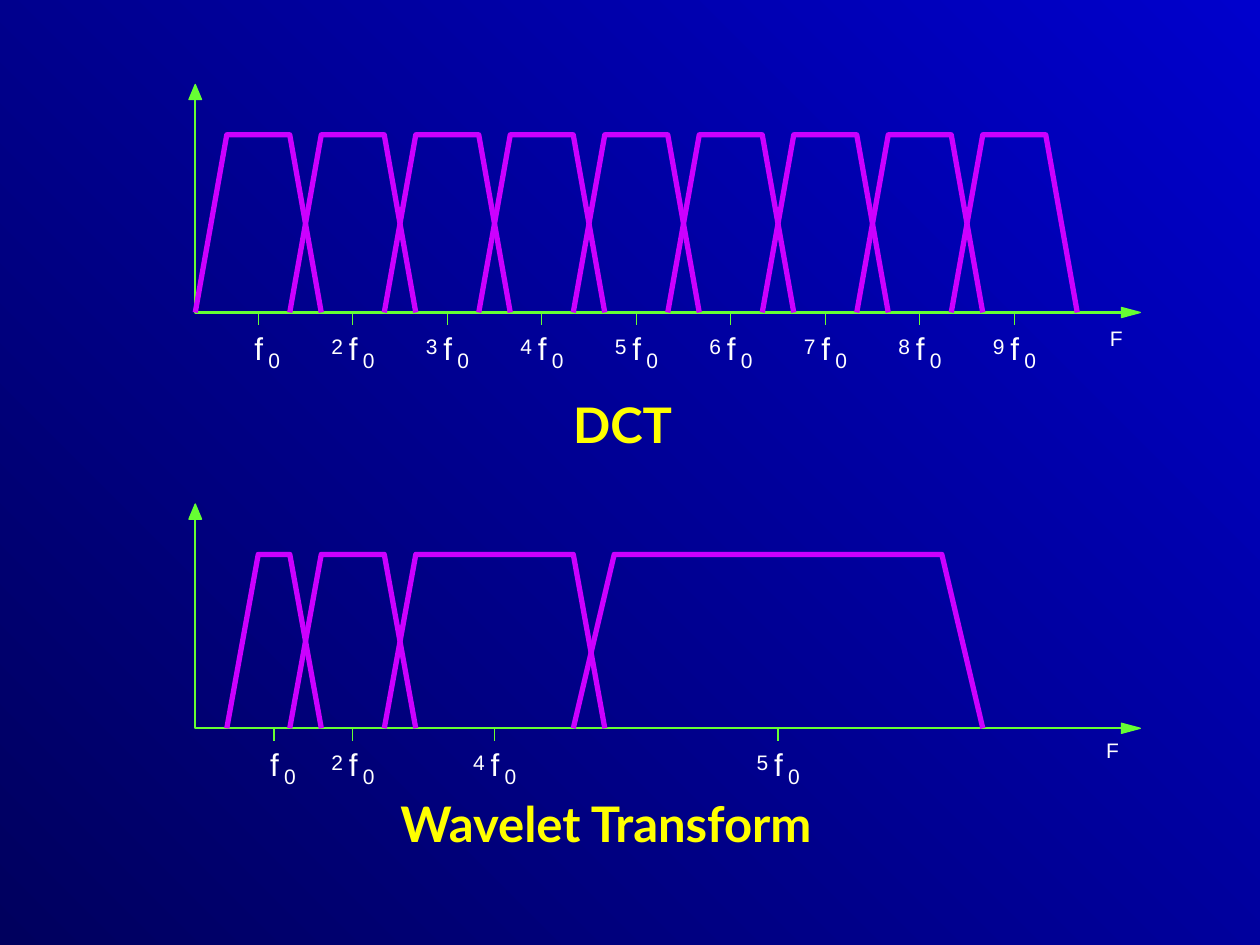
from lxml import etree
from pptx import Presentation
from pptx.dml.color import RGBColor
from pptx.enum.shapes import MSO_CONNECTOR
from pptx.enum.text import MSO_ANCHOR, MSO_AUTO_SIZE
from pptx.oxml.ns import qn
from pptx.util import Inches, Pt

STRAIGHT = MSO_CONNECTOR.STRAIGHT
TOP = MSO_ANCHOR.TOP
GROW = MSO_AUTO_SIZE.SHAPE_TO_FIT_TEXT
rgb = RGBColor.from_string
GREEN, VIOLET, WHITE, YELLOW = "66FF33", "CC00FF", "FFFFFF", "FFFF00"
LEFT, COL = 1.55, 0.25


def add_path(shapes, points, color, width, solid=False):
    pts = [(Inches(x), Inches(y)) for x, y in points]
    fb = shapes.build_freeform(*pts[0], scale=1.0)
    fb.add_line_segments(pts[1:], close=solid)
    sp = fb.convert_to_shape()
    sp.shadow.inherit = False
    if solid:
        sp.fill.solid()
        sp.fill.fore_color.rgb = rgb(color)
    else:
        sp.fill.background()
    sp.line.color.rgb = rgb(color)
    sp.line.width = Pt(width)


def add_text(shapes, text, box, size, font, color, bold=False, insets=(0, 0)):
    sp = shapes.add_textbox(*[Inches(v) for v in box])
    tf = sp.text_frame
    tf.word_wrap = False
    tf.auto_size = GROW
    tf.vertical_anchor = TOP
    tf.margin_left = tf.margin_right = Inches(insets[0])
    tf.margin_top = tf.margin_bottom = Inches(insets[1])
    r = tf.paragraphs[0].add_run()
    r.text = text
    r.font.size = Pt(size)
    r.font.name = font
    r.font.bold = bold
    r.font.color.rgb = rgb(color)


prs = Presentation()
prs.slide_width, prs.slide_height = Inches(10), Inches(7.5)
s = prs.slides.add_slide(prs.slide_layouts[6])
bg = s.background.fill
bg.gradient()
bg.gradient_angle = 225
for stop, color in zip(bg.gradient_stops, ("0000CC", "00005E")):
    stop.color.rgb = rgb(color)

dct_bands = [(3 * i, 3 * i + 1, 3 * i + 3, 3 * i + 4) for i in range(9)]
dct_ticks = [(3 * i + 2, str(i + 1) if i else "") for i in range(9)]
wavelet_bands = [(1, 2, 3, 4), (3, 4, 6, 7), (6, 7, 12, 13), (12, 13.3, 23.7, 25)]
wavelet_ticks = [(2.5, ""), (5, "2"), (9.5, "4"), (18.5, "5")]

plots = [
    (0.67, 1.07, 2.48, dct_bands, dct_ticks, (8.81, 2.58),
     "DCT", (4.45, 3.08, 1.01, 0.57)),
    (4.0, 4.4, 5.78, wavelet_bands, wavelet_ticks, (8.78, 5.85),
     "Wavelet Transform", (3.08, 6.25, 4.04, 0.57)),
]

for tip, crest, base, bands, ticks, f_pos, title, title_box in plots:
    g = s.shapes.add_group_shape().shapes
    add_path(g, [(LEFT, tip + 0.11), (LEFT, base), (8.91, base)], GREEN, 1.25)
    add_path(g, [(LEFT - 0.05, tip + 0.12), (LEFT, tip), (LEFT + 0.05, tip + 0.12)],
             GREEN, 0.75, True)
    add_path(g, [(8.9, base - 0.04), (9.05, base), (8.9, base + 0.04)],
             GREEN, 0.75, True)
    for band in bands:
        xs = [LEFT + COL * c for c in band]
        add_path(g, zip(xs, (base, crest, crest, base)), VIOLET, 3)
    for col, factor in ticks:
        x = LEFT + COL * col
        tick = g.add_connector(STRAIGHT, Inches(x), Inches(base),
                               Inches(x), Inches(base + 0.1))
        tick.line.color.rgb = rgb(GREEN)
        tick.line.width = Pt(0.75)
        etree.SubElement(tick._element.spPr, qn("a:effectLst"))
        add_text(g, "f", (x - 0.03, base + 0.13, 0.07, 0.3), 18, "Arial", WHITE)
        add_text(g, "0", (x + 0.08, base + 0.28, 0.09, 0.2), 12, "Arial", WHITE)
        if factor:
            add_text(g, factor, (x - 0.17, base + 0.17, 0.09, 0.2), 12, "Arial", WHITE)
    add_text(g, "F", (*f_pos, 0.1, 0.2), 12, "Arial", WHITE)
    add_text(s.shapes, title, title_box, 28, "Lato", YELLOW, True, (0.1, 0.05))

prs.save("out.pptx")
